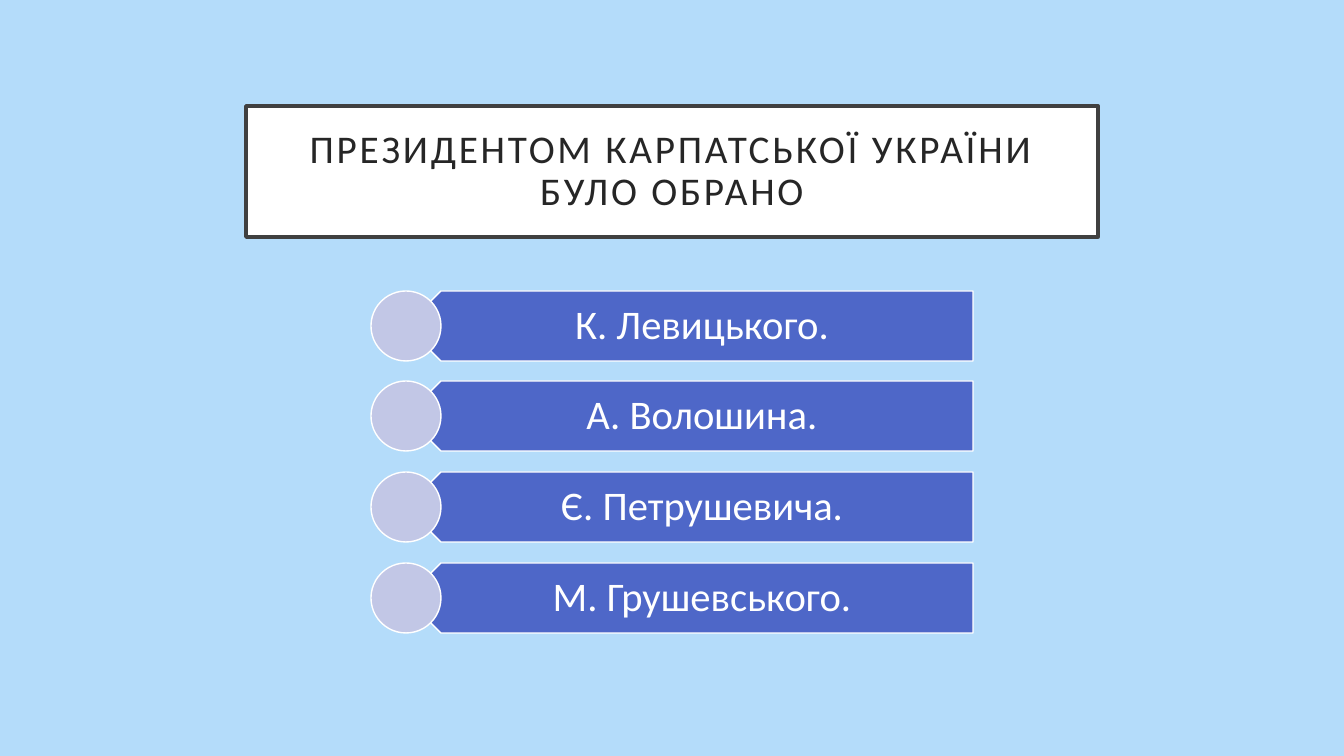
from dataclasses import dataclass

import pptx
import pptx.dml.color
import pptx.enum.shapes
import pptx.enum.text
import pptx.util

PX = 914400 / 100.8  # EMU in one px


@dataclass
class Theme:
    font: str = "Calibri"
    background: str = "B4DCFA"
    panel: str = "FFFFFF"
    frame: str = "404040"
    heading: str = "262626"
    bar: str = "4E67C8"
    disc: str = "C2C7E6"
    light: str = "FFFFFF"
    heading_size: int = 28
    answer_size: int = 29


theme = Theme()


def emu(*lengths):
    return [round(length * PX) for length in lengths]


def style(shape, fill, line, width, insets=(0, 0, 0, 0), text="", size=18, color="FFFFFF"):
    """Set the fill and outline of a shape and centre its text."""
    rgb = pptx.dml.color.RGBColor.from_string
    shape.shadow.inherit = False
    shape.fill.solid()
    shape.fill.fore_color.rgb = rgb(fill)
    shape.line.color.rgb = rgb(line)
    shape.line.width = pptx.util.Pt(width)
    if not text:
        return
    frame = shape.text_frame
    frame.text = text
    frame.word_wrap = True
    frame.auto_size = pptx.enum.text.MSO_AUTO_SIZE.NONE
    frame.vertical_anchor = pptx.enum.text.MSO_ANCHOR.MIDDLE
    frame.margin_left, frame.margin_top, frame.margin_right, frame.margin_bottom = emu(*insets)
    paragraph = frame.paragraphs[0]
    paragraph.alignment = pptx.enum.text.PP_ALIGN.CENTER
    paragraph.line_spacing = 0.9
    paragraph.space_before = pptx.util.Pt(0)
    paragraph.font.name = theme.font
    paragraph.font.size = pptx.util.Pt(size)
    paragraph.font.color.rgb = rgb(color)


presentation = pptx.Presentation()
presentation.slide_width, presentation.slide_height = emu(1344, 756)
slide = presentation.slides.add_slide(presentation.slide_layouts[5])
slide.background.fill.solid()
slide.background.fill.fore_color.rgb = pptx.dml.color.RGBColor.from_string(theme.background)

question = slide.shapes.title
question.left, question.top, question.width, question.height = emu(246, 106, 852, 131)
style(question, theme.panel, theme.frame, 2.5, (20, 20, 20, 20),
      "ПРЕЗИДЕНТОМ КАРПАТСЬКОЇ УКРАЇНИ БУЛО ОБРАНО", theme.heading_size, theme.heading)
question.text_frame.paragraphs[0].runs[0].font._element.set("spc", "200")

ANSWERS = ["К. Левицького.", "А. Волошина.", "Є. Петрушевича.", "М. Грушевського."]
FIRST_TOP, LAST_TOP = 291, 563
DISC_LEFT, DISC_SIZE = 371, 70
BAR_LEFT, BAR_WIDTH = DISC_LEFT + DISC_SIZE // 2, 567

for index, answer in enumerate(ANSWERS):
    top = FIRST_TOP + index * (LAST_TOP - FIRST_TOP) // (len(ANSWERS) - 1)

    bar = slide.shapes.add_shape(pptx.enum.shapes.MSO_SHAPE.PENTAGON,
                                 *emu(BAR_LEFT, top, BAR_WIDTH, DISC_SIZE))
    bar._element.spPr.xfrm.set("flipH", "1")  # the point faces the disc
    style(bar, theme.bar, theme.light, 1, (31, 12, 23, 12),
          answer, theme.answer_size, theme.light)

    disc = slide.shapes.add_shape(pptx.enum.shapes.MSO_SHAPE.OVAL,
                                  *emu(DISC_LEFT, top, DISC_SIZE, DISC_SIZE))
    style(disc, theme.disc, theme.light, 1)

presentation.save("out.pptx")
